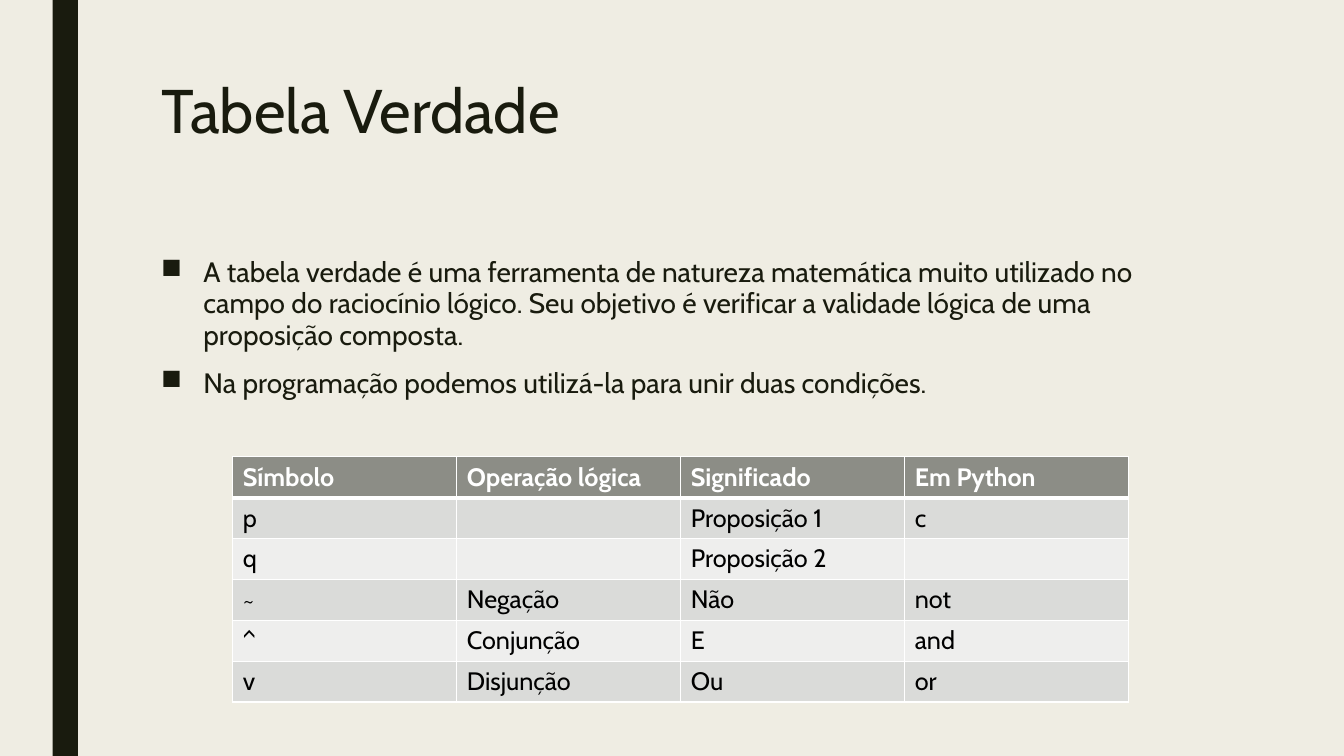
from pptx import Presentation
from pptx.dml.color import RGBColor
from pptx.enum.shapes import MSO_SHAPE as Shape
from pptx.enum.text import MSO_ANCHOR as Anchor, MSO_AUTO_SIZE as Fit, PP_ALIGN as Align
from pptx.oxml import parse_xml
from pptx.oxml.ns import nsdecls
from pptx.util import Pt

FONT = "Cabin"
DARK, WHITE, BLACK, CREAM = "191B0E", "FFFFFF", "000000", "EFEDE3"
HEAD, BANDS = "8C8D86", ("DADBD9", "EEEEED")
POINTS = [
    "A tabela verdade é uma ferramenta de natureza matemática muito utilizado no "
    "campo do raciocínio lógico. Seu objetivo é verificar a validade lógica de uma "
    "proposição composta.",
    "Na programação podemos utilizá-la para unir duas condições.",
]
ROWS = [
    ("Símbolo", "Operação lógica", "Significado", "Em Python"),
    ("p", "", "Proposição 1", "c"),
    ("q", "", "Proposição 2", ""),
    ("~", "Negação", "Não", "not"),
    ("^", "Conjunção", "E", "and"),
    ("v", "Disjunção", "Ou", "or"),
]


def paint(fill, color):
    fill.solid()
    fill.fore_color.rgb = RGBColor.from_string(color)


def write(para, text, size=18, color=BLACK, bold=False, line=None, before=None, after=None):
    para.alignment = Align.LEFT
    para.line_spacing = line
    para.space_before, para.space_after = before, after
    run = para.add_run()
    run.text = text
    font = run.font
    font.name, font.size, font.bold = FONT, Pt(size), bold
    font.color.rgb = RGBColor.from_string(color)


def place(shape, left, top, width, height):
    shape.left, shape.top = Pt(left), Pt(top)
    shape.width, shape.height = Pt(width), Pt(height)


def add_bar(slide):
    bar = slide.shapes.add_shape(Shape.RECTANGLE, Pt(37.6), Pt(0), Pt(18), Pt(540))
    bar.shadow.inherit = False
    paint(bar.fill, DARK)
    bar.line.fill.background()


def set_title(slide, text):
    title = slide.shapes.title
    place(title, 108, 54, 756, 117)
    frame = title.text_frame
    frame.auto_size, frame.vertical_anchor = Fit.NONE, Anchor.TOP
    write(frame.paragraphs[0], text, size=44, color=DARK, line=0.89)


def add_list(slide, items):
    box = slide.shapes.add_textbox(Pt(108), Pt(180), Pt(756), Pt(282))
    frame = box.text_frame
    frame.word_wrap = True
    for i, item in enumerate(items):
        para = frame.add_paragraph() if i else frame.paragraphs[0]
        write(para, item, size=20, color=DARK, line=0.94, before=Pt(10), after=Pt(2))
        props = para._p.get_or_add_pPr()
        props.set("marL", str(Pt(30.2)))
        props.set("indent", str(-Pt(30.2)))
        props.append(parse_xml(f'<a:buChar {nsdecls("a")} char="■"/>'))


def edge(cell, widths):
    """Draw white borders: left, right, top, bottom."""
    props = cell._tc.get_or_add_tcPr()
    for i, (side, width) in enumerate(zip("LRTB", widths)):
        props.insert(i, parse_xml(
            f'<a:ln{side} {nsdecls("a")} w="{Pt(width)}"><a:solidFill>'
            f'<a:srgbClr val="{WHITE}"/></a:solidFill></a:ln{side}>'))


def add_grid(slide, rows):
    count, wide = len(rows), len(rows[0])
    frame = slide.shapes.add_table(
        count, wide, Pt(166.3), Pt(326.3), Pt(160 * wide), Pt(29.2 * count))
    table = frame.table
    for col in table.columns:
        col.width = Pt(160)
    for r, row in enumerate(rows):
        table.rows[r].height = Pt(29.2)
        head = r == 0
        for c, text in enumerate(row):
            cell = table.cell(r, c)
            paint(cell.fill, HEAD if head else BANDS[(r - 1) % 2])
            edge(cell, (1, 1, 3 if r == 1 else 1, 3 if head else 1))
            if text:
                write(cell.text_frame.paragraphs[0], text,
                      color=WHITE if head else BLACK, bold=head)


def main():
    deck = Presentation()
    deck.slide_width, deck.slide_height = Pt(960), Pt(540)
    slide = deck.slides.add_slide(deck.slide_layouts[5])
    paint(slide.background.fill, CREAM)
    add_bar(slide)
    set_title(slide, "Tabela Verdade")
    add_list(slide, POINTS)
    add_grid(slide, ROWS)
    deck.save("out.pptx")


if __name__ == "__main__":
    main()
